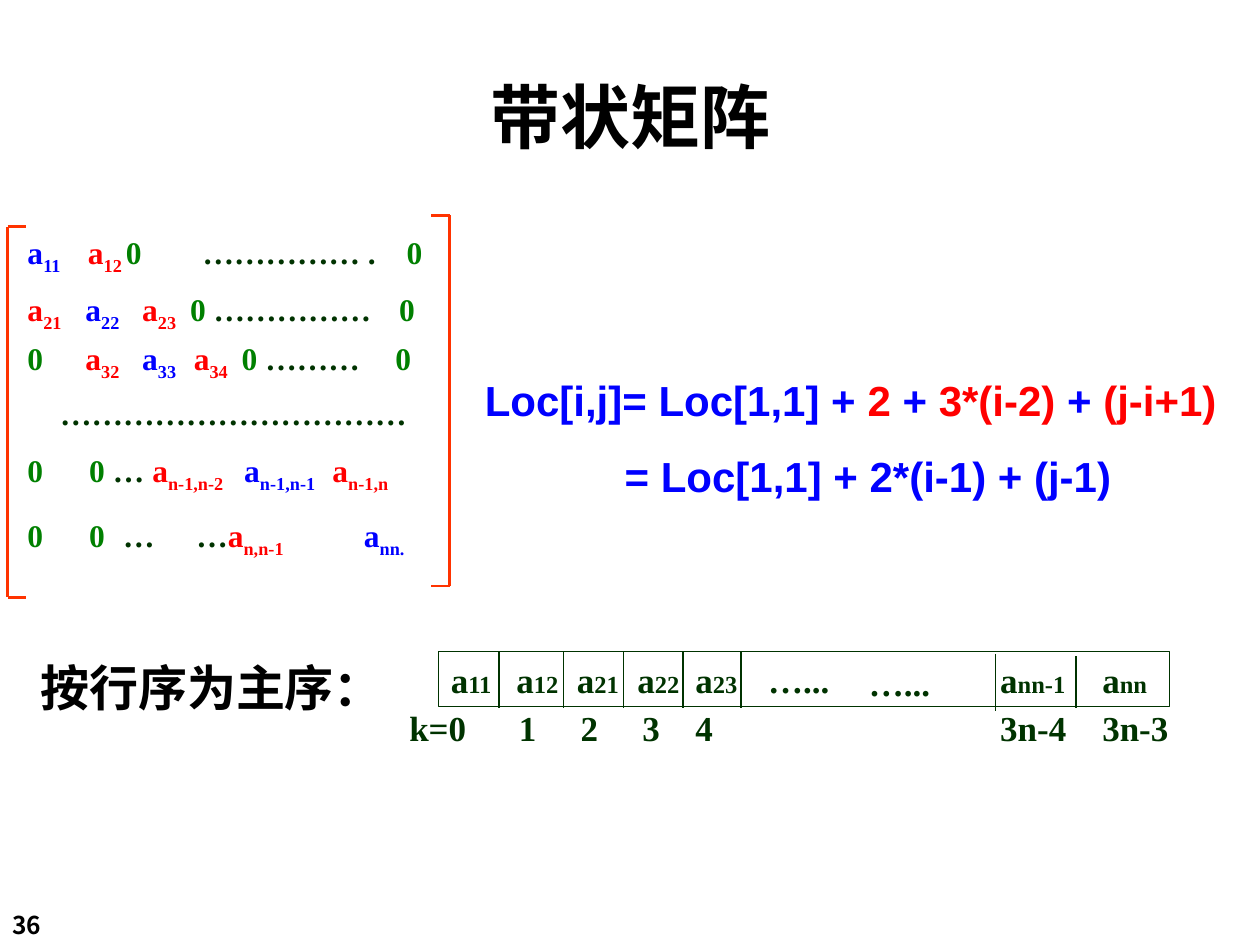
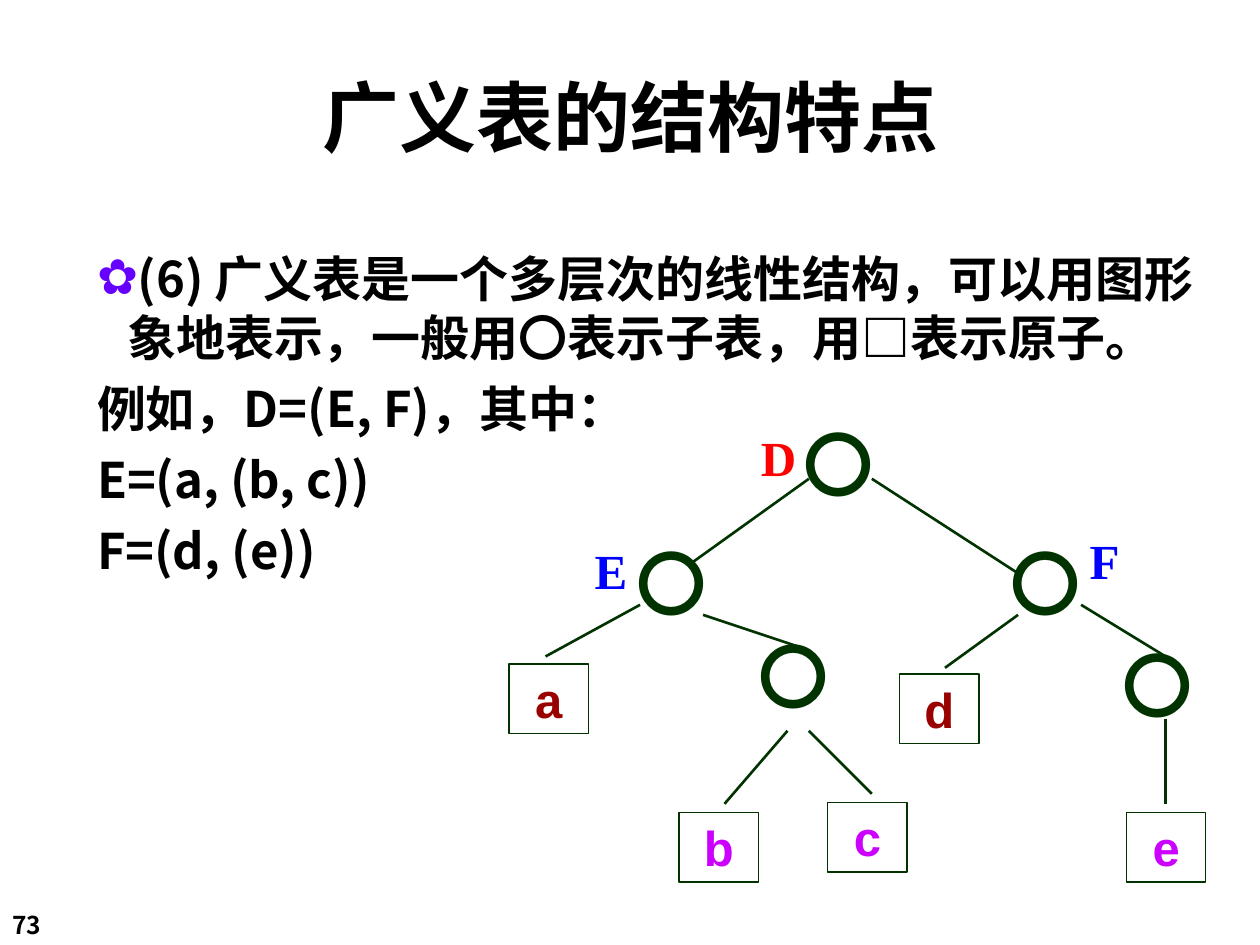
from dataclasses import dataclass
from typing import Sequence

from lxml import etree
from pptx import Presentation
from pptx.dml.color import RGBColor
from pptx.enum.shapes import MSO_CONNECTOR, MSO_SHAPE
from pptx.enum.text import MSO_ANCHOR, MSO_AUTO_SIZE, PP_ALIGN
from pptx.oxml.ns import qn
from pptx.util import Inches, Pt

LEFT, CENTER = PP_ALIGN.LEFT, PP_ALIGN.CENTER
TOP, MIDDLE = MSO_ANCHOR.TOP, MSO_ANCHOR.MIDDLE
NO_FIT = MSO_AUTO_SIZE.NONE
RECTANGLE = MSO_SHAPE.RECTANGLE
STRAIGHT = MSO_CONNECTOR.STRAIGHT

COLORS = {
    "black": "000000", "ink": "003300", "blue": "0000FF", "red": "FF0000",
    "green": "008000", "bracket": "FF3300", "maroon": "990000",
    "magenta": "CC00FF", "bullet": "6600FF",
}
SANS, SERIF, CJK = "Arial", "Times New Roman", "Noto Sans CJK SC"
TITLE_LAYOUT, BODY_LAYOUT = 5, 1


@dataclass(frozen=True)
class Style:
    font: str
    size: float
    color: str = "ink"
    align: PP_ALIGN = LEFT
    anchor: MSO_ANCHOR = TOP


@dataclass(frozen=True)
class Span:
    text: str
    color: str = ""
    size: float = 0
    subscript: bool = False


@dataclass(frozen=True)
class Line:
    spans: Sequence[Span]
    tabs: Sequence[float] = ()
    before: float = 0


@dataclass(frozen=True)
class MatrixRow:
    top: float
    tabs: Sequence[float]
    spans: Sequence[Span]


@dataclass(frozen=True)
class Mark:
    text: str
    left: float
    top: float
    color: str = "ink"


MATRIX = Style(SERIF, 18)
ARRAY = Style(SERIF, 20, anchor=MIDDLE)
ARRAY_DOTS = Style(SERIF, 20, align=CENTER, anchor=MIDDLE)
CAPTION = Style(SERIF, 28, "black", CENTER, MIDDLE)
FORMULA = Style(SANS, 24, "blue")
BODY = Style(CJK, 28, "black")
PAGE_NUMBER = Style(CJK, 14, "black")


def rgb(name: str) -> RGBColor:
    return RGBColor.from_string(COLORS[name])


# Text
def write_line(para, line: Line, style: Style) -> None:
    properties = para._p.get_or_add_pPr()
    if line.tabs:
        tab_list = etree.SubElement(properties, qn("a:tabLst"))
        for position in line.tabs:
            etree.SubElement(tab_list, qn("a:tab"),
                             pos=str(Inches(position)), algn="l")
    para.alignment = style.align
    para.space_before = Pt(line.before)
    para.font.name, para.font.size = style.font, Pt(style.size)
    para.font.bold = True
    para.font.color.rgb = rgb(style.color)
    etree.SubElement(properties.find(qn("a:defRPr")), qn("a:ea"), typeface=CJK)
    for span in line.spans:
        run = para.add_run()
        run.text = span.text
        if span.color:
            run.font.color.rgb = rgb(span.color)
        if span.size:
            run.font.size = Pt(span.size)
        if span.subscript:
            run._r.get_or_add_rPr().set("baseline", "-25000")


def write(frame, lines: Sequence[Line], style: Style) -> None:
    frame.word_wrap = True
    frame.auto_size = NO_FIT
    frame.vertical_anchor = style.anchor
    for index, line in enumerate(lines):
        para = frame.add_paragraph() if index else frame.paragraphs[0]
        write_line(para, line, style)


def plain(text: str, before: float = 0) -> Line:
    return Line([Span(text)], before=before)


def place(shape, left: float, top: float, width: float, height: float) -> None:
    shape.left, shape.top = Inches(left), Inches(top)
    shape.width, shape.height = Inches(width), Inches(height)


def add_text(page, left: float, top: float, width: float, height: float,
             style: Style, *lines: Line) -> None:
    box = page.shapes.add_textbox(Inches(left), Inches(top),
                                  Inches(width), Inches(height))
    write(box.text_frame, lines, style)


# Shapes
def add_frame(page, left: float, top: float, width: float, height: float,
              style: Style, line: Line) -> None:
    frame = page.shapes.add_shape(RECTANGLE, Inches(left), Inches(top),
                                  Inches(width), Inches(height))
    frame.shadow.inherit = False
    frame.fill.background()
    frame.line.color.rgb = rgb("ink")
    frame.line.width = Pt(0.75)
    write(frame.text_frame, [line], style)


def add_line(page, x1: float, y1: float, x2: float, y2: float,
             color: str = "ink", width: float = 1.5) -> None:
    line = page.shapes.add_connector(STRAIGHT, Inches(x1), Inches(y1),
                                     Inches(x2), Inches(y2))
    line.line.color.rgb = rgb(color)
    line.line.width = Pt(width)
    etree.SubElement(line._element.spPr, qn("a:effectLst"))


def add_page(deck, layout: int, title: str, title_size: float, number: str):
    page = deck.slides.add_slide(deck.slide_layouts[layout])
    place(page.shapes.title, 0.42, 0.42, 9.17, 1)
    write(page.shapes.title.text_frame, [plain(title)],
          Style(CJK, title_size, "black", CENTER, MIDDLE))
    add_text(page, 0, 7.17, 0.83, 0.34, PAGE_NUMBER, plain(number))
    return page


# Band matrix
def entry(index: str, color: str, lead: str = "\t") -> list[Span]:
    return [Span(lead + "a", color), Span(index, color, subscript=True)]


def zero(lead: str = "\t") -> Span:
    return Span(lead + "0", "green")


MATRIX_ROWS = [
    MatrixRow(1.8, (0.48, 0.78, 1.39, 3.01),
              [*entry("11", "blue", ""), *entry("12", "red"), zero(),
               Span("\t…………… ."), zero()]),
    MatrixRow(2.25, (0.46, 0.91, 1.29, 2.95),
              [*entry("21", "red", ""), *entry("22", "blue"),
               *entry("23", "red"), zero(), Span(" ……………"), zero()]),
    MatrixRow(2.64, (0.46, 0.91, 1.32, 1.7, 2.92),
              [zero(""), *entry("32", "red"), *entry("33", "blue"),
               *entry("34", "red"), zero(), Span(" ………"), zero()]),
    MatrixRow(3.08, (0.26,), [Span("\t……………………………")]),
    MatrixRow(3.53, (0.49, 1.72, 2.42),
              [zero(""), zero(), Span(" … "), *entry("n-1,n-2", "red", ""),
               *entry("n-1,n-1", "blue"), *entry("n-1,n", "red")]),
    MatrixRow(4.05, (0.49, 0.76, 1.34, 2.67),
              [zero(""), zero(), Span("\t…"), Span("\t…"),
               *entry("n,n-1", "red", ""), *entry("nn.", "blue")]),
]
BRACKET_HEIGHT, BRACKET_TICK = 2.94, 0.15
ARRAY_INDICES = ("11", "12", "21", "22", "23", "nn-1", "nn")
ARRAY_TABS = (0.52, 1.0, 1.48, 1.94, 4.36, 5.17)
POSITIONS = ("k=0", "1", "2", "3", "4", "3n-4", "3n-3")
POSITION_TABS = (0.87, 1.36, 1.85, 2.27, 4.69, 5.5)
DIVIDERS = [*((x, 5.17, 5.62) for x in (3.96, 4.47, 4.95, 5.42, 5.88)),
            (7.9, 5.19, 5.64), (8.54, 5.21, 5.62)]


def build_band_matrix(deck) -> None:
    page = add_page(deck, TITLE_LAYOUT, "带状矩阵", 40, "36")

    # Matrix rows between brackets
    for row in MATRIX_ROWS:
        add_text(page, 0.12, row.top, 4, 0.44, MATRIX,
                 Line(row.spans, row.tabs))
    for x, top, tick in ((0.06, 1.8, BRACKET_TICK), (3.57, 1.71, -BRACKET_TICK)):
        bottom = top + BRACKET_HEIGHT
        add_line(page, x, top, x, bottom, "bracket")
        for y in (top, bottom):
            add_line(page, x, y, x + tick, y, "bracket")

    # Row-major storage
    cells = []
    for number, index in enumerate(ARRAY_INDICES):
        cells += [Span("\ta" if number else "a"), Span(index, size=14)]
    add_frame(page, 3.48, 5.17, 5.8, 0.44, ARRAY, Line(cells, ARRAY_TABS))
    for x, top, bottom in DIVIDERS:
        add_line(page, x, top, x, bottom, width=0.75)
    for left, top in ((5.94, 5.17), (6.74, 5.2)):
        add_text(page, left, top, 0.8, 0.44, ARRAY_DOTS, plain("…..."))
    add_text(page, 3.15, 5.55, 6.5, 0.44, ARRAY,
             Line([Span("\t".join(POSITIONS))], POSITION_TABS))
    add_text(page, 0.18, 5.17, 3, 0.57, CAPTION, plain("按行序为主序："))

    # Address formula
    add_text(page, 3.75, 2.92, 6.17, 1.11, FORMULA,
             Line([Span("Loc[i,j]= Loc[1,1] + "), Span("2", "red"),
                   Span(" + "), Span("3*(i-2)", "red"), Span(" + "),
                   Span("(j-i+1)", "red")], before=15),
             Line([Span("\t= Loc[1,1] + 2*(i-1) + (j-1)")], (1.11,), 15))


# Generalized list tree
BODY_TEXT = [
    "(6) 广义表是一个多层次的线性结构，可以用图形象地表示，一般用〇表示子表，用□表示原子。",
    "例如，D=(E, F)，其中：",
    "E=(a, (b, c))",
    "F=(d, (e))",
]
NAMES = [Mark("D", 5.94, 3.34, "red"), Mark("E", 4.62, 4.24, "blue"),
         Mark("F", 8.55, 4.16, "blue")]
SUBLISTS = [Mark("〇", left, top) for left, top in
            ((6.28, 3.3), (4.95, 4.24), (7.92, 4.24), (5.92, 4.98), (8.81, 5.05))]
ATOMS = [Mark("a", 4.04, 5.27, "maroon"), Mark("b", 5.39, 6.45, "magenta"),
         Mark("c", 6.57, 6.37, "magenta"), Mark("d", 7.14, 5.35, "maroon"),
         Mark("e", 8.94, 6.45, "magenta")]
BRANCHES = [
    (6.42, 3.8, 5.5, 4.46), (6.92, 3.8, 8.08, 4.55),
    (5.08, 4.8, 4.33, 5.21), (5.58, 4.88, 6.33, 5.13),
    (6.25, 5.8, 5.75, 6.38), (6.42, 5.8, 6.92, 6.3),
    (8.08, 4.88, 7.5, 5.3), (8.58, 4.8, 9.25, 5.21),
    (9.25, 5.71, 9.25, 6.38),
]


def set_bullet(para, char: str = "") -> None:
    properties = para._p.get_or_add_pPr()
    hanging = Inches(0.24) if char else 0
    properties.set("marL", str(hanging))
    properties.set("indent", str(-hanging))
    if not char:
        properties.insert_element_before(
            etree.Element(qn("a:buNone")), "a:tabLst", "a:defRPr")
        return
    color = etree.Element(qn("a:buClr"))
    etree.SubElement(color, qn("a:srgbClr"), val=COLORS["bullet"])
    for element in (color, etree.Element(qn("a:buChar"), char=char)):
        properties.insert_element_before(element, "a:tabLst", "a:defRPr")


def build_list_structure(deck) -> None:
    page = add_page(deck, BODY_LAYOUT, "广义表的结构特点", 44, "73")

    # Explanation
    body = page.placeholders[1]
    place(body, 0.67, 1.92, 9.17, 3.33)
    write(body.text_frame, [plain(text, 7) for text in BODY_TEXT], BODY)
    for index, para in enumerate(body.text_frame.paragraphs):
        set_bullet(para, "" if index else "✿")

    # Tree
    for branch in BRANCHES:
        add_line(page, *branch)
    for name in NAMES:
        add_text(page, name.left, name.top, 0.48, 0.57,
                 Style(SERIF, 28, name.color), plain(name.text))
    for node in SUBLISTS:
        add_text(page, node.left, node.top, 0.75, 0.77,
                 Style(SANS, 40, node.color), plain(node.text))
    for atom in ATOMS:
        add_frame(page, atom.left, atom.top, 0.63, 0.55,
                  Style(SANS, 28, atom.color, CENTER, MIDDLE), plain(atom.text))


def main() -> None:
    deck = Presentation()
    deck.slide_width, deck.slide_height = Inches(10), Inches(7.5)
    build_band_matrix(deck)
    build_list_structure(deck)
    deck.save("out.pptx")


if __name__ == "__main__":
    main()
